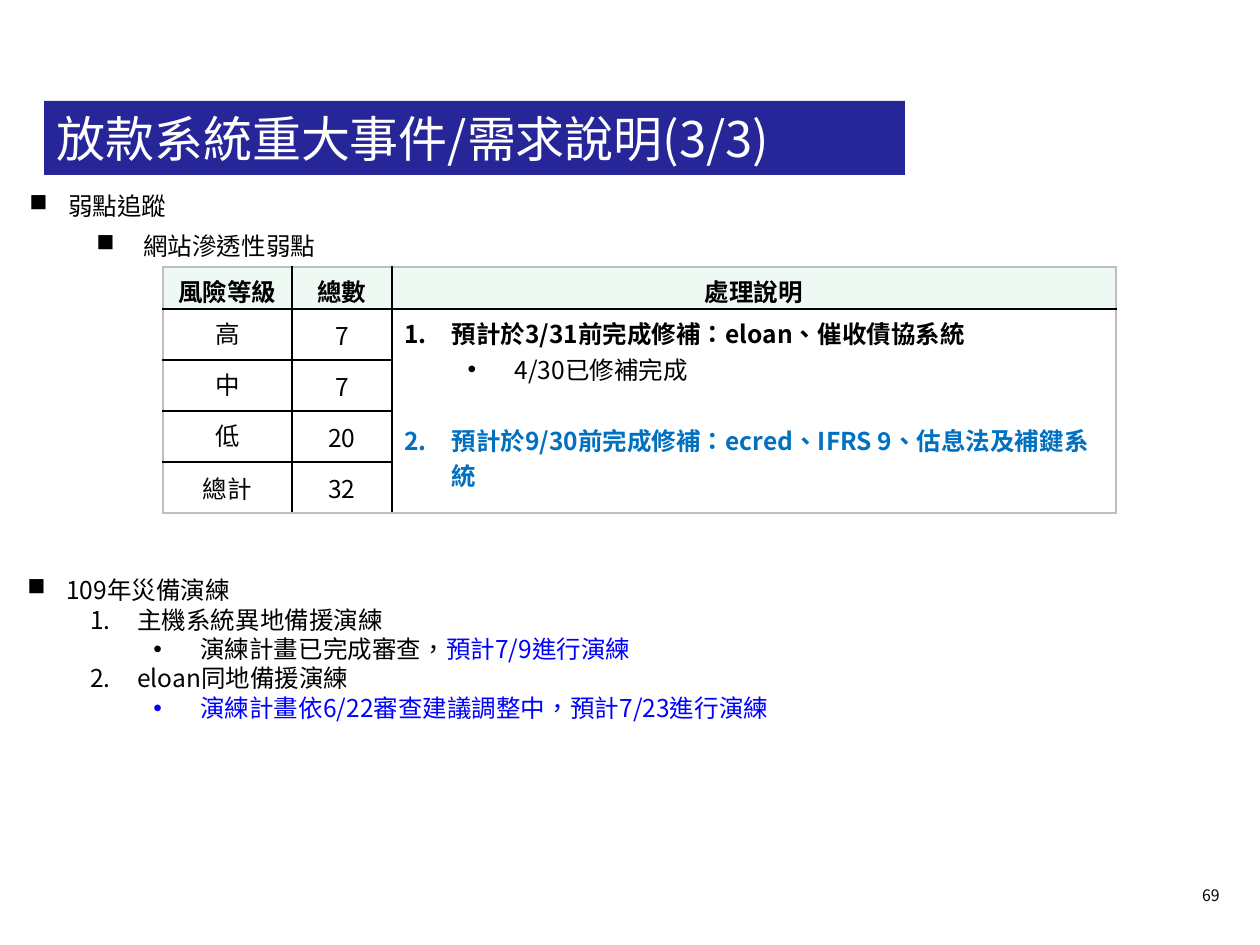
from dataclasses import dataclass
from typing import Optional

import pptx
import pptx.dml.color
import pptx.enum.shapes
import pptx.enum.text
import pptx.oxml.ns
import pptx.util
from lxml import etree

RGB = pptx.dml.color.RGBColor
ALIGN = pptx.enum.text.PP_ALIGN
ANCHOR = pptx.enum.text.MSO_ANCHOR
qn = pptx.oxml.ns.qn

BLACK = RGB(0x00, 0x00, 0x00)
WHITE = RGB(0xFF, 0xFF, 0xFF)
NAVY = RGB(0x26, 0x26, 0x99)
BLUE = RGB(0x00, 0x00, 0xFF)
SKY = RGB(0x00, 0x70, 0xC0)
MINT = RGB(0xEE, 0xF9, 0xF4)
GRAY = RGB(0xBF, 0xBF, 0xBF)
FONT = "Noto Sans CJK SC"
PX_PER_INCH = 126
SQUARE, DOT, NUMBER = "n", "•", "1."  # "n" is the filled square in Wingdings


def px(length: int) -> int:
    return round(length * pptx.util.Inches(1) / PX_PER_INCH)


@dataclass
class Run:
    text: str
    color: RGB = BLACK


@dataclass
class Item:
    runs: list[Run]
    bullet: Optional[str] = None
    margin: int = 0
    hang: int = 0
    level: int = 0
    bold: bool = False
    space_before: int = 0


def add_bullet(paragraph, item: Item) -> None:
    properties = paragraph._p.get_or_add_pPr()
    properties.set("marL", str(px(item.margin)))
    properties.set("indent", str(-px(item.hang)))
    if item.bullet == NUMBER:
        etree.SubElement(properties, qn("a:buFont"), typeface=FONT)
        etree.SubElement(properties, qn("a:buAutoNum"), type="arabicPeriod")
    else:
        typeface = "Wingdings" if item.bullet == SQUARE else "Arial"
        etree.SubElement(properties, qn("a:buFont"), typeface=typeface)
        etree.SubElement(properties, qn("a:buChar"), char=item.bullet)


def write(frame, items: list[Item], *, size: int = 14, align=ALIGN.LEFT,
          line: Optional[float] = None) -> None:
    frame.word_wrap = True
    for index, item in enumerate(items):
        paragraph = frame.paragraphs[0] if index == 0 else frame.add_paragraph()
        paragraph.alignment = align
        paragraph.level = item.level
        if line:
            paragraph.line_spacing = pptx.util.Pt(line)
        if item.space_before:
            paragraph.space_before = pptx.util.Pt(item.space_before)
        if item.bullet:
            add_bullet(paragraph, item)
        for part in item.runs:
            run = paragraph.add_run()
            run.text = part.text
            run.font.size = pptx.util.Pt(size)
            run.font.name = FONT
            run.font.bold = item.bold
            run.font.color.rgb = part.color
            properties = run._r.get_or_add_rPr()
            properties.set("lang", "zh-TW")
            etree.SubElement(properties, qn("a:ea"), typeface=FONT)


def add_text(slide, box: tuple[int, int, int, int], items: list[Item], **text_format) -> None:
    write(slide.shapes.add_textbox(*map(px, box)).text_frame, items, **text_format)


def set_borders(cell, colors: dict[str, RGB]) -> None:
    properties = cell._tc.get_or_add_tcPr()
    for index, (side, color) in enumerate(colors.items()):
        border = etree.Element(qn(f"a:ln{side}"), w=str(pptx.util.Pt(1)))
        fill = etree.SubElement(border, qn("a:solidFill"))
        etree.SubElement(fill, qn("a:srgbClr"), val=str(color))
        properties.insert(index, border)


def add_risk_table(slide) -> None:
    rows = [("風險等級", "總數", "處理說明"), ("高", "7"), ("中", "7"), ("低", "20"), ("總計", "32")]
    widths, heights = (129, 100, 724), (42, 51, 51, 51, 51)
    table = slide.shapes.add_table(len(rows), len(widths), px(163), px(267),
                                   px(sum(widths)), px(sum(heights))).table
    for column, width in zip(table.columns, widths):
        column.width = px(width)
    for row, height in zip(table.rows, heights):
        row.height = px(height)

    last_row, last_column = len(rows) - 1, len(widths) - 1
    for r, texts in enumerate(rows):
        for c in range(len(widths)):
            cell = table.cell(r, c)
            if r == 0:
                cell.fill.solid()
                cell.fill.fore_color.rgb = MINT
                cell.margin_top, cell.margin_bottom = px(6), 0
            else:
                cell.fill.background()
            cell.vertical_anchor = ANCHOR.MIDDLE if r in (0, last_row) or c == 1 else ANCHOR.TOP
            set_borders(cell, {"L": GRAY if c == 0 else BLACK,
                               "R": GRAY if c == last_column else BLACK,
                               "T": GRAY if r == 0 else BLACK,
                               "B": GRAY if r == last_row else BLACK})
            if c < len(texts):
                write(cell.text_frame, [Item([Run(texts[c])], bold=r == 0)], align=ALIGN.CENTER)

    # Remediation notes span all the risk levels
    notes = table.cell(1, last_column)
    notes.merge(table.cell(last_row, last_column))
    bottom_border = notes._tc.tcPr.find(qn("a:lnB"))
    bottom_border.find(".//" + qn("a:srgbClr")).set("val", str(GRAY))
    write(notes.text_frame, [
        Item([Run("預計於3/31前完成修補：eloan、催收債協系統")], NUMBER, 47, 47, bold=True),
        Item([Run("4/30已修補完成")], DOT, 110, 47, level=1),
        Item([Run("預計於9/30前完成修補：ecred、IFRS 9、估息法及補鍵系統", SKY)],
             NUMBER, 47, 47, bold=True, space_before=20),
    ])


def add_title(slide) -> None:
    title = slide.shapes.add_shape(pptx.enum.shapes.MSO_SHAPE.RECTANGLE,
                                   *map(px, (44, 101, 861, 74)))
    title.shadow.inherit = False
    title.fill.solid()
    title.fill.fore_color.rgb = NAVY
    title.line.fill.background()
    title.text_frame.vertical_anchor = ANCHOR.MIDDLE
    write(title.text_frame, [Item([Run("放款系統重大事件/需求說明(3/3)", WHITE)])], size=28)


def main() -> None:
    deck = pptx.Presentation()
    deck.slide_width, deck.slide_height = px(1260), px(945)
    slide = deck.slides.add_slide(deck.slide_layouts[6])

    add_title(slide)

    # Weakness tracking
    add_text(slide, (17, 185, 1191, 48), [Item([Run("弱點追蹤")], SQUARE, 39, 39)])
    add_text(slide, (84, 225, 247, 48), [Item([Run("網站滲透性弱點")], SQUARE, 47, 47)])
    add_risk_table(slide)

    # Disaster recovery drills
    add_text(slide, (15, 569, 1111, 161), [
        Item([Run("109年災備演練")], SQUARE, 39, 39),
        Item([Run("主機系統異地備援演練")], NUMBER, 110, 47, level=1),
        Item([Run("演練計畫已完成審查，"), Run("預計7/9進行演練", BLUE)], DOT, 173, 47, level=2),
        Item([Run("eloan同地備援演練")], NUMBER, 110, 47, level=1),
        Item([Run("演練計畫依6/22審查建議調整中，預計7/23進行演練", BLUE)], DOT, 173, 47, level=2),
    ], line=16.8)

    # Page number
    add_text(slide, (1146, 880, 86, 32), [Item([Run("69")])], size=9, align=ALIGN.RIGHT)

    deck.save("out.pptx")


if __name__ == "__main__":
    main()
